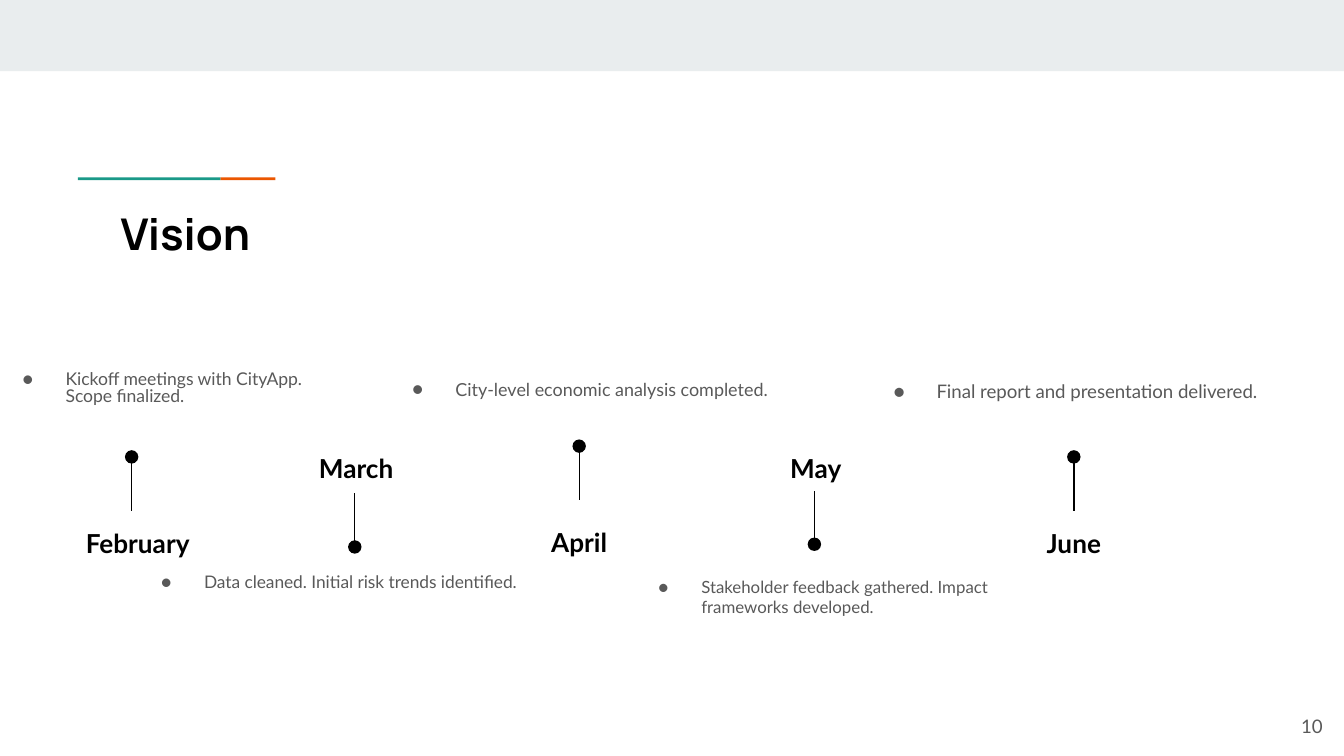
"""Build the Vision slide: a five-month timeline with alternating notes."""
from dataclasses import dataclass

from lxml.etree import SubElement
from pptx import Presentation
from pptx.dml.color import RGBColor
from pptx.enum.shapes import MSO_CONNECTOR as Link, MSO_SHAPE as Preset
from pptx.enum.text import MSO_ANCHOR as Anchor, PP_ALIGN as Align
from pptx.oxml.ns import qn
from pptx.util import Inches, Pt


@dataclass(frozen=True)
class Theme:
    ink: str = "000000"
    body: str = "595959"
    band: str = "E9EDEE"
    teal: str = "1A9988"
    orange: str = "EB5600"
    heading_font: str = "Manrope"
    body_font: str = "Lato"
    title_size: float = 23.4
    month_size: float = 14
    page_size: float = 10
    stem_width: float = 0.75


@dataclass(frozen=True)
class Milestone:
    month: str
    month_box: tuple
    stem_x: float
    dot_y: float
    direction: int
    note: str
    note_box: tuple
    note_size: float
    spacing: float


MILESTONES = [
    Milestone("February", (0.5, 3.79, 1.05, 0.41), 0.98, 3.4, 1,
              "Kickoff meetings with CityApp. Scope finalized.",
              (-0.11, 2.67, 2.7, 1.05), 9.4, 0.8),
    Milestone("March", (2.24, 3.23, 0.82, 0.41), 2.64, 4.07, -1,
              "Data cleaned. Initial risk trends identified.",
              (0.92, 4.22, 3.23, 0.79), 9.3, 0.8),
    Milestone("April", (3.93, 3.78, 0.76, 0.41), 4.31, 3.32, 1,
              "City-level economic analysis completed.",
              (2.79, 2.78, 3.05, 0.91), 9.6, 0.8),
    Milestone("May", (5.66, 3.23, 0.82, 0.41), 6.06, 4.05, -1,
              "Stakeholder feedback gathered. Impact frameworks developed.",
              (4.62, 4.19, 3.23, 1.2), 9, 1.0),
    Milestone("June", (7.58, 3.79, 0.82, 0.41), 7.99, 3.4, 1,
              "Final report and presentation delivered.",
              (6.37, 2.77, 3.45, 0.91), 10, 0.9),
]
STEM_LENGTH = 0.4
DOT_SIZE = 0.1


def add_bullet(paragraph, font, color, indent=0.5, hanging=0.32):
    properties = paragraph._p.get_or_add_pPr()
    properties.set("marL", str(Inches(indent)))
    properties.set("indent", str(-Inches(hanging)))
    bullet_color = SubElement(properties, qn("a:buClr"))
    SubElement(bullet_color, qn("a:srgbClr"), val=color)
    SubElement(properties, qn("a:buFont"), typeface=font)
    SubElement(properties, qn("a:buChar"), char="●")


def write_text(frame, text, *, font, size, color, bold=False, align=Align.LEFT,
               anchor=Anchor.TOP, spacing=1.0, after=0, bullet=False):
    frame.word_wrap = True
    frame.vertical_anchor = anchor
    frame.margin_left = frame.margin_right = Inches(0.1)
    frame.margin_top = frame.margin_bottom = Inches(0.1)
    paragraph = frame.paragraphs[0]
    if bullet:
        add_bullet(paragraph, font, color)
    paragraph.alignment = align
    paragraph.line_spacing = spacing
    paragraph.space_after = Pt(after)
    run = paragraph.add_run()
    run.text = text
    run.font.name = font
    run.font.size = Pt(size)
    run.font.bold = bold
    run.font.color.rgb = RGBColor.from_string(color)


class TimelineSlide:
    def __init__(self, slide, theme):
        self.shapes = slide.shapes
        self.theme = theme

    def filled(self, preset, box, color):
        shape = self.shapes.add_shape(preset, *map(Inches, box))
        shape.shadow.inherit = False
        shape.fill.solid()
        shape.fill.fore_color.rgb = RGBColor.from_string(color)
        shape.line.fill.background()

    def text(self, content, box, **style):
        frame = self.shapes.add_textbox(*map(Inches, box)).text_frame
        write_text(frame, content, **{"font": self.theme.body_font, **style})

    def stem(self, x, start_y, end_y):
        line = self.shapes.add_connector(
            Link.STRAIGHT, *map(Inches, (x, start_y, x, end_y)))
        line.line.color.rgb = RGBColor.from_string(self.theme.ink)
        line.line.width = Pt(self.theme.stem_width)
        SubElement(line._element.spPr, qn("a:effectLst"))

    def milestone(self, item):
        theme = self.theme
        self.text(item.month, item.month_box, size=theme.month_size, color=theme.ink,
                  bold=True, align=Align.CENTER, spacing=1.15, after=16)
        self.text(item.note, item.note_box, size=item.note_size, color=theme.body,
                  spacing=item.spacing, after=10, bullet=True)
        self.stem(item.stem_x, item.dot_y, item.dot_y + item.direction * STEM_LENGTH)
        radius = DOT_SIZE / 2
        self.filled(Preset.OVAL, (item.stem_x - radius, item.dot_y - radius,
                                  DOT_SIZE, DOT_SIZE), theme.ink)


def main():
    deck = Presentation()
    deck.slide_width = Inches(10)
    deck.slide_height = Inches(10 * 9 / 16)
    theme = Theme()
    vision = TimelineSlide(deck.slides.add_slide(deck.slide_layouts[6]), theme)
    vision.filled(Preset.RECTANGLE, (0, 0, 10, 0.53), theme.band)
    vision.filled(Preset.RECTANGLE, (1.64, 1.32, 0.41, 0.02), theme.orange)
    vision.filled(Preset.RECTANGLE, (0.58, 1.32, 1.06, 0.02), theme.teal)
    vision.text("Vision", (0.8, 1.44, 8.41, 0.59), font=theme.heading_font,
                size=theme.title_size, color=theme.ink, bold=True)
    for item in MILESTONES:
        vision.milestone(item)
    vision.text("10", (9.34, 5.19, 0.6, 0.43), size=theme.page_size, color=theme.body,
                align=Align.RIGHT, anchor=Anchor.MIDDLE)
    deck.save("out.pptx")


if __name__ == "__main__":
    main()
